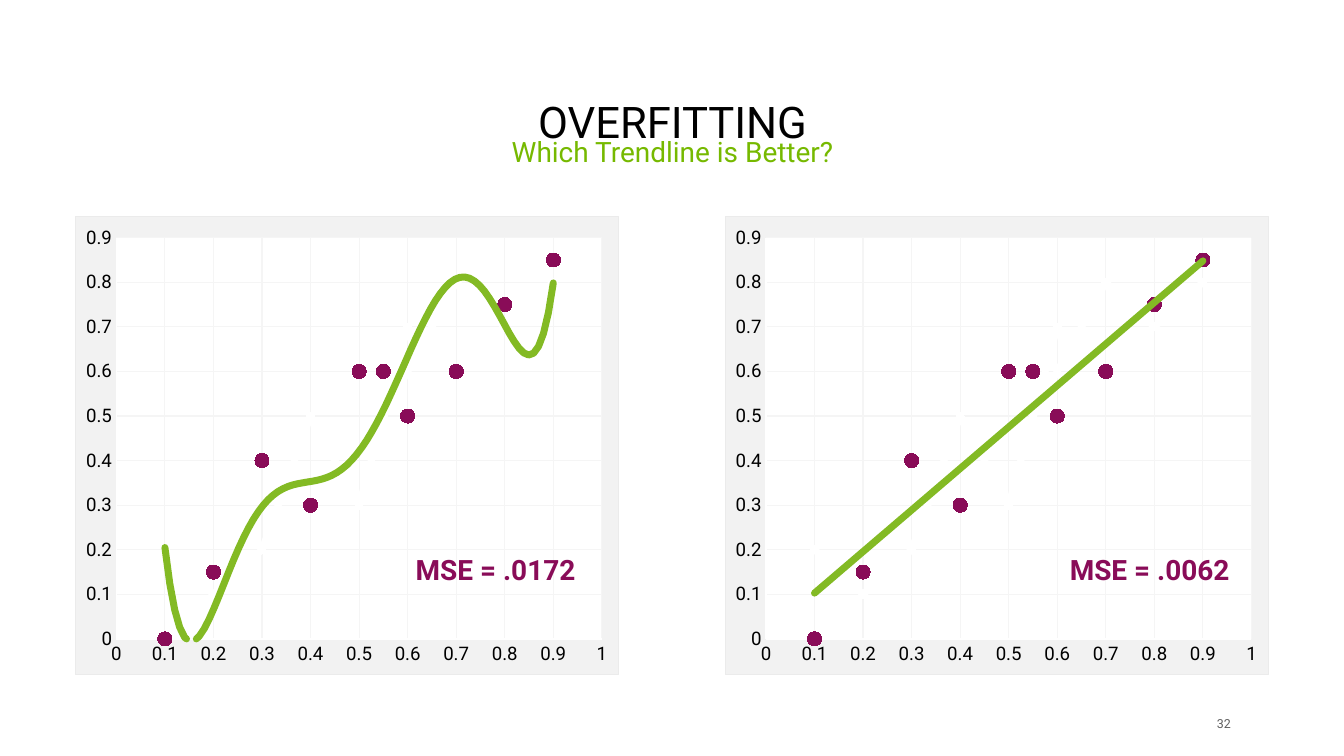
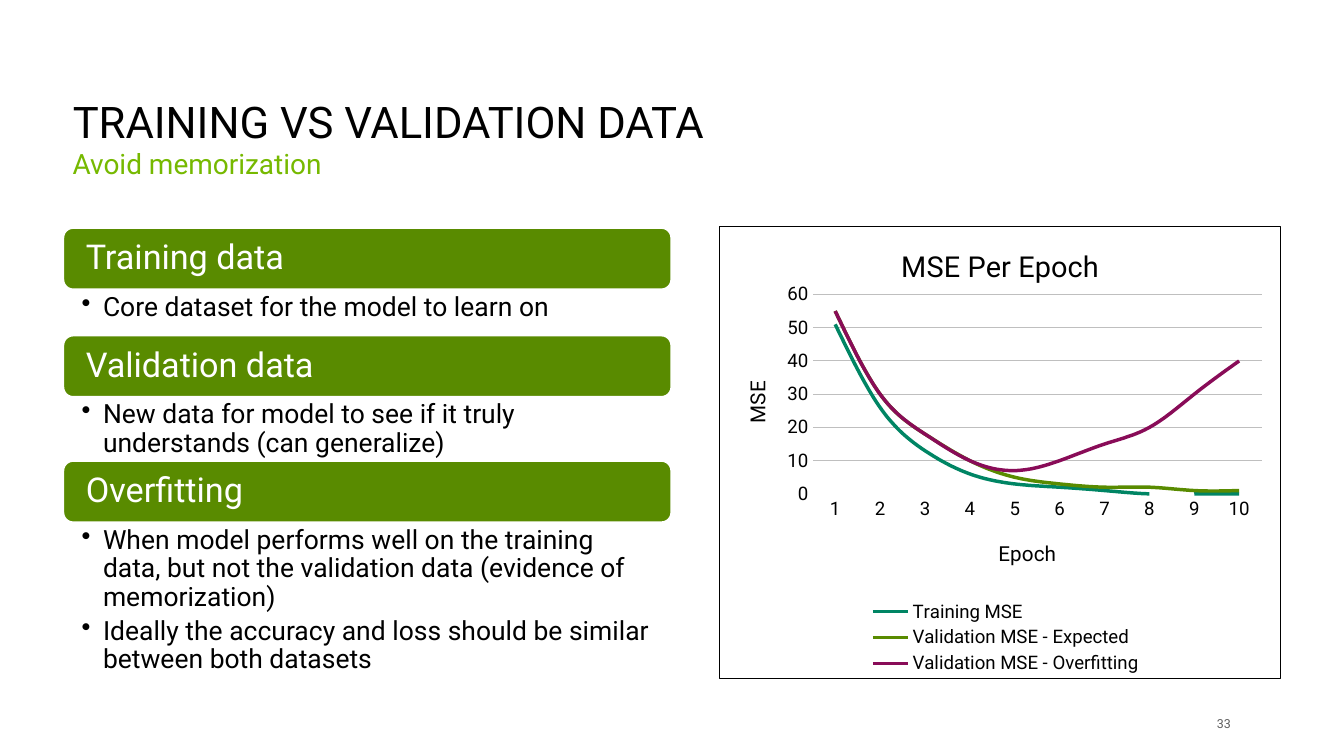
from dataclasses import dataclass

from pptx import Presentation
from pptx import util as u
from pptx.chart import data as chart_data
from pptx.dml.color import RGBColor
from pptx.enum import chart as charts, shapes, text
from pptx.oxml import parse_xml
from pptx.oxml.ns import nsdecls, qn


@dataclass(frozen=True)
class Theme:
    font: str = "Roboto"
    black: str = "000000"
    white: str = "FFFFFF"
    accent: str = "76B900"
    trend: str = "83BA24"
    bar: str = "598B00"
    teal: str = "008564"
    purple: str = "890C58"
    gray: str = "5E5E5E"
    panel: str = "F2F2F2"
    panel_border: str = "EBEBEB"
    pale_grid: str = "F5F5F5"
    grid: str = "BFBFBF"
    title: float = 28
    heading: float = 22
    subtitle: float = 18
    bullet: float = 17
    chart_title: float = 18.6
    axis_title: float = 13.3
    label: float = 12
    chart_base: float = 10
    footer: float = 8
    hairline: float = 0.75


THEME = Theme()
X_VALUES = (0.1, 0.2, 0.3, 0.4, 0.5, 0.6, 0.55, 0.7, 0.8, 0.9)
SCATTER_SERIES = (
    ("Series 1", (0.2, 0.1, 0.2, 0.5, 0.3, 0.7, 0.5, 0.8, 0.7, 0.8)),
    ("Series 2", (0, 0.15, 0.4, 0.3, 0.6, 0.5, 0.6, 0.6, 0.75, 0.85)),
)
EPOCH_SERIES = (
    ("Training MSE", (51, 26, 13, 6, 3, 2, 1, 0, 0, 0), THEME.teal),
    ("Validation MSE - Expected", (55, 30, 18, 10, 5, 3, 2, 2, 1, 1), THEME.bar),
    ("Validation MSE - Overfitting", (55, 30, 18, 10, 7, 10, 15, 20, 30, 40), THEME.purple),
)
TOPICS = (
    ("Training data", 0.4, ("Core dataset for the model to learn on",)),
    ("Validation data", 0.56,
     ("New data for model to see if it truly understands (can generalize)",)),
    ("Overfitting", 1.37,
     ("When model performs well on the training data, but not the validation data "
      "(evidence of memorization)",
      "Ideally the accuracy and loss should be similar between both datasets")),
)


def box(left, top, width, height):
    return [u.Inches(value) for value in (left, top, width, height)]


def style_font(font, size, color, bold=False):
    font.name = THEME.font
    font.size = u.Pt(size)
    font.bold = bold
    font.color.rgb = RGBColor.from_string(color)


def style_line(line, color, width=THEME.hairline):
    line.color.rgb = RGBColor.from_string(color)
    line.width = u.Pt(width)


def style_frame(frame, anchor, insets=(0.1, 0.05, 0.1, 0.05), wrap=True):
    frame.auto_size = text.MSO_AUTO_SIZE.NONE
    frame.word_wrap = wrap
    frame.vertical_anchor = anchor
    (frame.margin_left, frame.margin_top,
     frame.margin_right, frame.margin_bottom) = box(*insets)


def write(paragraph, content, size, color, align=text.PP_ALIGN.LEFT, bold=False):
    paragraph.alignment = align
    paragraph.line_spacing = 0.9
    run = paragraph.add_run()
    run.text = content
    style_font(run.font, size, color, bold)


def add_label(slide, bounds, content, size, color, align, bold=False,
              anchor=text.MSO_ANCHOR.MIDDLE, insets=(0.1, 0.05, 0.1, 0.05), wrap=True):
    frame = slide.shapes.add_textbox(*box(*bounds)).text_frame
    style_frame(frame, anchor, insets, wrap)
    write(frame.paragraphs[0], content, size, color, align, bold)


def add_titled_slide(presentation, title, subtitle, number, width, subtitle_top, align):
    slide = presentation.slides.add_slide(presentation.slide_layouts[5])
    placeholder = slide.shapes.title
    (placeholder.left, placeholder.top,
     placeholder.width, placeholder.height) = box(0.55, 0.72, width, 0.65)
    style_frame(placeholder.text_frame, text.MSO_ANCHOR.BOTTOM)
    write(placeholder.text_frame.paragraphs[0], title, THEME.title, THEME.black, align)
    add_label(slide, (0.55, subtitle_top, width, 0.57), subtitle, THEME.subtitle,
              THEME.accent, align, anchor=text.MSO_ANCHOR.TOP)
    add_label(slide, (10.68, 6.38, 0.35, 0.18), number, THEME.footer, THEME.gray,
              text.PP_ALIGN.RIGHT, insets=(0, 0, 0.04, 0))
    return slide


def area_properties(fill, border):
    fill_xml = (f'<a:solidFill><a:srgbClr val="{fill}"/></a:solidFill>'
                if fill else "<a:noFill/>")
    line_xml = (f'<a:ln w="{u.Pt(THEME.hairline)}"><a:solidFill><a:srgbClr val="{border}"/>'
                "</a:solidFill></a:ln>" if border else "<a:ln><a:noFill/></a:ln>")
    return parse_xml(f'<c:spPr {nsdecls("c", "a")}>{fill_xml}{line_xml}</c:spPr>')


def place_element(element, after=None, inner=False, **position):
    for existing in element.findall(qn("c:layout")):
        element.remove(existing)
    target = '<c:layoutTarget val="inner"/>' if inner else ""
    modes = "".join(f'<c:{key}Mode val="edge"/>' for key in "xy")
    values = "".join(f'<c:{key} val="{value}"/>' for key, value in position.items())
    layout = parse_xml(f'<c:layout {nsdecls("c")}><c:manualLayout>{target}{modes}{values}'
                       "</c:manualLayout></c:layout>")
    if after:
        element.find(qn(after)).addnext(layout)
    else:
        element.insert(0, layout)


def add_styled_chart(slide, kind, bounds, data, fill, border, **plot_position):
    chart = slide.shapes.add_chart(kind, *box(*bounds), data).chart
    style_font(chart.font, THEME.chart_base, THEME.black)
    chart.has_title = False
    chart.has_legend = False
    chart.plots[0].vary_by_categories = False
    chart_element = chart._chartSpace.find(qn("c:chart"))
    chart_element.addnext(area_properties(fill, border))
    plot_area = chart_element.find(qn("c:plotArea"))
    plot_area.append(area_properties(fill and THEME.white, None))
    place_element(plot_area, inner=True, **plot_position)
    return chart


def style_axis(axis, line=None, grid=None, limits=None):
    axis.major_tick_mark = axis.minor_tick_mark = charts.XL_TICK_MARK.NONE
    style_font(axis.tick_labels.font, THEME.label, THEME.black)
    if line:
        style_line(axis.format.line, line)
    else:
        axis.format.line.fill.background()
    axis.has_major_gridlines = bool(grid)
    if grid:
        style_line(axis.major_gridlines.format.line, grid)
    if limits:
        axis.minimum_scale, axis.maximum_scale, axis.major_unit = limits


def write_chart_title(title, content, size):
    run = title.text_frame.paragraphs[0].add_run()
    run.text = content
    style_font(run.font, size, THEME.black)


def style_marker(series, size, color):
    series.marker.style = charts.XL_MARKER_STYLE.CIRCLE
    series.marker.size = size
    series.marker.format.fill.solid()
    series.marker.format.fill.fore_color.rgb = RGBColor.from_string(color)
    series.marker.format.line.fill.background()


def add_trendline(series, kind, order=None):
    order_xml = f'<c:order val="{order}"/>' if order else ""
    trendline = parse_xml(
        f'<c:trendline {nsdecls("c", "a")}><c:spPr><a:ln w="{u.Pt(4.5)}" cap="rnd">'
        f'<a:solidFill><a:srgbClr val="{THEME.trend}"/></a:solidFill></a:ln></c:spPr>'
        f'<c:trendlineType val="{kind}"/>{order_xml}'
        '<c:dispRSqr val="0"/><c:dispEq val="0"/></c:trendline>')
    series._element.find(qn("c:xVal")).addprevious(trendline)


def add_trend_chart(slide, left, label_left, error, kind, order=None):
    data = chart_data.XyChartData()
    for name, values in SCATTER_SERIES:
        points = data.add_series(name)
        for x, y in zip(X_VALUES, values):
            points.add_data_point(x, y)
    chart = add_styled_chart(slide, charts.XL_CHART_TYPE.XY_SCATTER_LINES,
                             (left, 1.93, 4.86, 4.1), data, THEME.panel,
                             THEME.panel_border, x=0.075, y=0.046, w=0.894, h=0.876)
    for axis, maximum in ((chart.category_axis, 1), (chart.value_axis, 0.9)):
        style_axis(axis, THEME.white, THEME.pale_grid, (0, maximum, 0.1))
    hidden, observed = chart.plots[0].series
    style_line(hidden.format.line, THEME.white, 4.5)
    style_marker(hidden, 5, THEME.white)
    add_trendline(hidden, kind, order)
    observed.format.line.fill.background()
    style_marker(observed, 9, THEME.purple)
    add_label(slide, (label_left, 4.92, 1.65, 0.37), error, THEME.subtitle, THEME.purple,
              text.PP_ALIGN.CENTER, bold=True, wrap=False)


def add_epoch_chart(slide):
    data = chart_data.CategoryChartData()
    data.categories = [str(epoch) for epoch in range(1, 11)]
    for name, values, _ in EPOCH_SERIES:
        data.add_series(name, values)
    chart = add_styled_chart(slide, charts.XL_CHART_TYPE.LINE, (6.42, 2.02, 5.02, 4.04),
                             data, None, THEME.black, x=0.166, y=0.15, w=0.8, h=0.442)
    chart.has_title = True
    write_chart_title(chart.chart_title, "MSE Per Epoch", THEME.chart_title)
    style_axis(chart.category_axis, THEME.white)
    style_axis(chart.value_axis, grid=THEME.grid, limits=(0, 60, 10))
    epoch_title = chart.category_axis.axis_title
    write_chart_title(epoch_title, "Epoch", THEME.axis_title)
    place_element(epoch_title._element, after="c:tx", x=0.49, y=0.685)
    error_title = chart.value_axis.axis_title
    write_chart_title(error_title, "MSE", THEME.axis_title)
    error_title.text_frame._txBody.bodyPr.set("rot", "-5400000")
    for series, (_, _, color) in zip(chart.plots[0].series, EPOCH_SERIES):
        style_line(series.format.line, color, 2.25)
        series.marker.style = charts.XL_MARKER_STYLE.NONE
        series.smooth = True
    chart.has_legend = True
    chart.legend.position = charts.XL_LEGEND_POSITION.BOTTOM
    chart.legend.include_in_layout = False
    style_font(chart.legend.font, THEME.label, THEME.black)
    place_element(chart.legend._element, after="c:legendPos", x=0.26, y=0.82, w=0.5, h=0.18)


def add_heading_bar(slide, top, heading):
    shape = slide.shapes.add_shape(shapes.MSO_SHAPE.ROUNDED_RECTANGLE,
                                   *box(0.56, top, 5.44, 0.56))
    shape.shadow.inherit = False
    shape.fill.solid()
    shape.fill.fore_color.rgb = RGBColor.from_string(THEME.bar)
    style_line(shape.line, THEME.white, 2)
    style_frame(shape.text_frame, text.MSO_ANCHOR.MIDDLE, (0.18, 0.09, 0.09, 0.09))
    write(shape.text_frame.paragraphs[0], heading, THEME.heading, THEME.white)


def add_bullets(slide, top, height, bullets):
    frame = slide.shapes.add_textbox(*box(0.56, top, 5.44, height)).text_frame
    style_frame(frame, text.MSO_ANCHOR.TOP, (0.17, 0.03, 0.17, 0.03))
    for index, bullet in enumerate(bullets):
        paragraph = frame.add_paragraph() if index else frame.paragraphs[0]
        properties = paragraph._p.get_or_add_pPr()
        properties.set("marL", str(u.Inches(0.19)))
        properties.set("indent", str(-u.Inches(0.19)))
        properties.append(parse_xml(f'<a:buChar {nsdecls("a")} char="•"/>'))
        paragraph.space_after = u.Pt(3.4)
        write(paragraph, bullet, THEME.bullet, THEME.black)


def add_topics(slide):
    top = 2.03
    for heading, height, bullets in TOPICS:
        add_heading_bar(slide, top, heading)
        add_bullets(slide, top + 0.56, height, bullets)
        top += 0.56 + height


def main():
    presentation = Presentation()
    presentation.slide_width = u.Inches(12)
    presentation.slide_height = u.Inches(6.75)

    overfitting = add_titled_slide(presentation, "OVERFITTING", "Which Trendline is Better?",
                                   "32", 10.91, 1.19, text.PP_ALIGN.CENTER)
    add_trend_chart(overfitting, 0.67, 3.6, "MSE = .0172", "poly", 6)
    add_trend_chart(overfitting, 6.47, 9.44, "MSE = .0062", "linear")

    validation = add_titled_slide(presentation, "TRAINING VS VALIDATION DATA",
                                  "Avoid memorization", "33", 6.48, 1.29,
                                  text.PP_ALIGN.LEFT)
    add_topics(validation)
    add_epoch_chart(validation)

    presentation.save("out.pptx")


if __name__ == "__main__":
    main()
